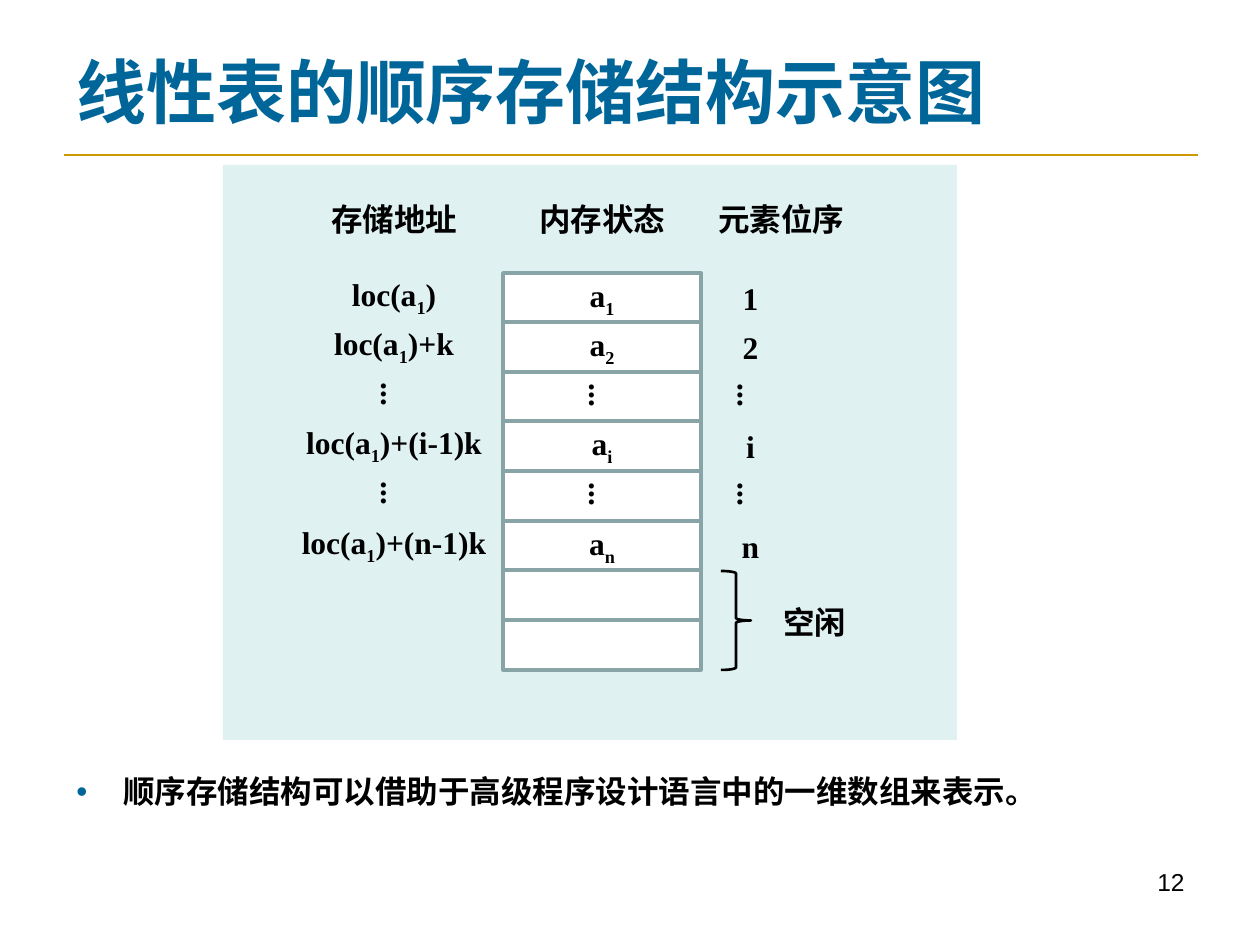
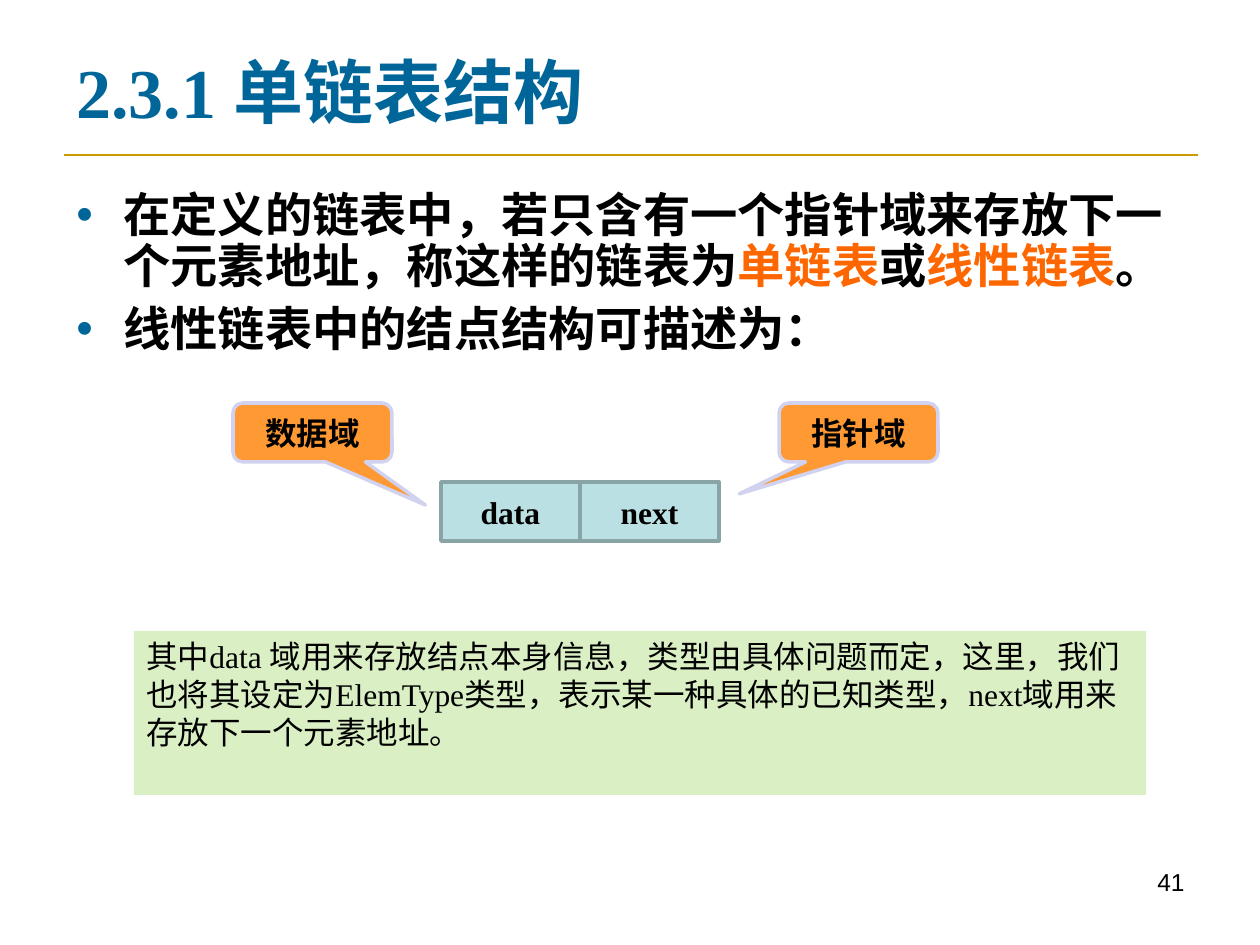
from lxml import etree
from pptx import Presentation
from pptx.dml.color import RGBColor
from pptx.enum.shapes import MSO_CONNECTOR, MSO_SHAPE
from pptx.enum.text import MSO_ANCHOR, PP_ALIGN
from pptx.oxml.ns import qn
from pptx.util import Emu, Pt

PX = 914400 / 126
SERIF, SANS = "Times New Roman", "Arial"
BLACK = RGBColor(0x00, 0x00, 0x00)
WHITE = RGBColor(0xFF, 0xFF, 0xFF)
BLUE = RGBColor(0x00, 0x66, 0x99)
GOLD = RGBColor(0xCC, 0x99, 0x00)
TEAL = RGBColor(0x9E, 0xD3, 0xD7)
AQUA = RGBColor(0xBB, 0xE0, 0xE3)
GREY = RGBColor(0x89, 0xA4, 0xA7)
RED = RGBColor(0xFE, 0x67, 0x00)
AMBER = RGBColor(0xFF, 0x99, 0x33)
LILAC = RGBColor(0xD1, 0xD1, 0xF0)
GREEN = RGBColor(0x92, 0xD0, 0x50)
RECT, BRACE = MSO_SHAPE.RECTANGLE, MSO_SHAPE.RIGHT_BRACE
CALLOUT = MSO_SHAPE.ROUNDED_RECTANGULAR_CALLOUT
LEFT, CENTER, RIGHT = PP_ALIGN.LEFT, PP_ALIGN.CENTER, PP_ALIGN.RIGHT
TOP, MIDDLE = MSO_ANCHOR.TOP, MSO_ANCHOR.MIDDLE
DOTS = "..."


def put(slide, box, text="", kind=None, fill=None, alpha=100, line=None, width=2,
        size=18, face=SERIF, color=BLACK, bold=True, align=CENTER, anchor=MIDDLE):
    """Add a shape, or a text box if kind is None; "_" lowers the next letter."""
    place = [Emu(round(n * PX)) for n in box]
    if kind is None:
        shape = slide.shapes.add_textbox(*place)
    else:
        shape = slide.shapes.add_shape(kind, *place)
        shape.shadow.inherit = False
        if fill is None:
            shape.fill.background()
        else:
            shape.fill.solid()
            shape.fill.fore_color.rgb = fill
            if alpha < 100:
                tint = shape.fill._xPr.find(".//" + qn("a:srgbClr"))
                etree.SubElement(tint, qn("a:alpha"), val=str(alpha * 1000))
        if line is None:
            shape.line.fill.background()
        else:
            shape.line.color.rgb = line
            shape.line.width = Pt(width)
    frame = shape.text_frame
    frame.word_wrap = True
    frame.vertical_anchor = anchor
    if text == DOTS:
        frame._txBody.bodyPr.set("vert", "eaVert")
        frame.margin_left = frame.margin_right = Emu(round(6 * PX))
        frame.margin_top = frame.margin_bottom = Emu(round(12 * PX))
    if text:
        para = frame.paragraphs[0]
        para.alignment = align
        font = para.font
        font.size, font.name, font.bold = Pt(size), face, bold
        font.color.rgb = color
        head, *tails = text.split("_")
        para.add_run().text = head
        for tail in tails:
            low = para.add_run()
            low.text = tail[0]
            low.font._element.set("baseline", "-25000")
            if tail[1:]:
                para.add_run().text = tail[1:]
    return shape


def list_points(slide, box, points, size, gap):
    """Add bulleted paragraphs, each a list of (text, colour) runs."""
    frame = put(slide, box, anchor=TOP).text_frame
    for i, runs in enumerate(points):
        para = frame.add_paragraph() if i else frame.paragraphs[0]
        props = para._p.get_or_add_pPr()
        props.set("marL", str(round(47 * PX)))
        props.set("indent", str(round(-47 * PX)))
        tint = etree.SubElement(props, qn("a:buClr"))
        etree.SubElement(tint, qn("a:srgbClr"), val=str(BLUE))
        etree.SubElement(props, qn("a:buFont"), typeface=SANS)
        etree.SubElement(props, qn("a:buChar"), char="•")
        para.line_spacing = 0.9
        if i:
            para.space_before = Pt(gap)
        font = para.font
        font.size, font.name, font.bold = Pt(size), SERIF, True
        for text, color in runs:
            run = para.add_run()
            run.text = text
            run.font.color.rgb = color


deck = Presentation()
deck.slide_width, deck.slide_height = Emu(round(1260 * PX)), Emu(round(945 * PX))

# Shared frame: title, gold rule and page number
pages = []
for title, number in [("线性表的顺序存储结构示意图", "12"), ("2.3.1 单链表结构", "41")]:
    page = deck.slides.add_slide(deck.slide_layouts[6])
    rule = page.shapes.add_connector(
        MSO_CONNECTOR.STRAIGHT, *[Emu(round(n * PX)) for n in (64, 155, 1198, 155)])
    rule.line.color.rgb = GOLD
    rule.line.width = Pt(1.5)
    etree.SubElement(rule._element.spPr, qn("a:effectLst"))
    put(page, (64, 35, 1134, 110), title, size=40, color=BLUE, align=LEFT)
    put(page, (903, 861, 294, 66), number, size=14, face=SANS, bold=False,
        align=RIGHT, anchor=TOP)
    pages.append(page)
store, chain = pages

# Sequential storage: address, memory cell and position in each row
put(store, (223, 165, 734, 575), kind=RECT, fill=TEAL, alpha=31)
for x, w, head in [(285, 218, "存储地址"), (503, 198, "内存状态"), (701, 160, "元素位序")]:
    put(store, (x, 194, w, 50), head)
rows = [
    ("loc(a_1)", "a_1", "1"),
    ("loc(a_1)+k", "a_2", "2"),
    (DOTS, DOTS, DOTS),
    ("loc(a_1)+(i-1)k", "a_i", "i"),
    (DOTS, DOTS, DOTS),
    ("loc(a_1)+(n-1)k", "a_n", "n"),
    ("", "", ""),
    ("", "", ""),
]
for i, (place, cell, order) in enumerate(rows):
    y = 273 + 397 * i // len(rows)
    put(store, (503, y, 198, 50), cell, RECT, WHITE, line=GREY)
    if cell:
        put(store, (285, y - 1, 218, 50), place)
        put(store, (701, y, 99, 50), order)
put(store, (721, 571, 30, 99), kind=BRACE, line=BLACK, width=1.5)
put(store, (751, 597, 128, 50), "空闲")
list_points(store, (64, 770, 1134, 48),
            [[("顺序存储结构可以借助于高级程序设计语言中的一维数组来表示。", BLACK)]], 18, 4.5)

# Singly linked list: node with its two fields
list_points(chain, (64, 185, 1134, 179), [
    [("在定义的链表中，若只含有一个指针域来存放下一个元素地址，称这样的链表为", BLACK),
     ("单链表", RED), ("或", BLACK), ("线性链表", RED), ("。", BLACK)],
    [("线性链表中的结点结构可描述为：", BLACK)],
], 27, 6.8)
for i, field in enumerate(["data", "next"]):
    put(chain, (441 + 139 * i, 482, 139, 59), field, RECT, AQUA, line=GREY)
for x, label, tip in [(779, "指针域", (-0.75, 1.04)), (233, "数据域", (0.71, 1.23))]:
    note = put(chain, (x, 403, 159, 59), label, CALLOUT, AMBER, line=LILAC, face=SANS)
    note.adjustments[0], note.adjustments[1] = tip
put(chain, (134, 631, 1012, 164),
    "其中data 域用来存放结点本身信息，类型由具体问题而定，这里，我们也将其设定为ElemType类型，"
    "表示某一种具体的已知类型，next域用来存放下一个元素地址。",
    RECT, GREEN, alpha=33, bold=False, align=LEFT, anchor=TOP)

deck.save("out.pptx")
